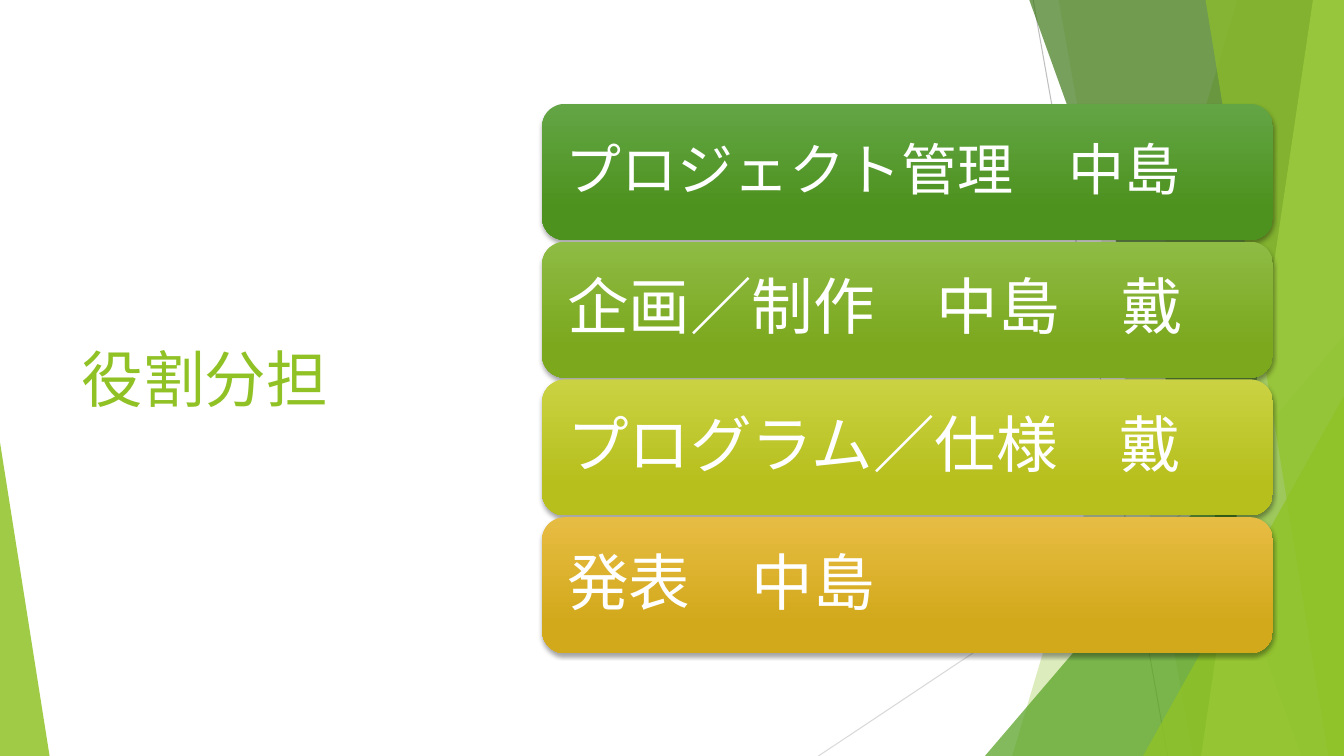
from dataclasses import dataclass
from lxml.etree import SubElement
from pptx import Presentation
from pptx.dml.color import RGBColor
from pptx.enum.shapes import MSO_CONNECTOR, MSO_SHAPE
from pptx.enum.text import MSO_ANCHOR, PP_ALIGN
from pptx.oxml.ns import qn
from pptx.util import Pt


@dataclass(frozen=True)
class Theme:
    """Colours and type sizes of the slide."""
    font: str = "Open Sans"
    big: int = 44
    small: int = 40
    white: str = "FFFFFF"
    black: str = "000000"
    lime: str = "90C226"
    green: str = "54A021"
    dark: str = "3F7819"
    pale: str = "C0E474"
    grey: str = "BFBFBF"
    mist: str = "D9D9D9"


THEME = Theme()
WIDE, HIGH = 960, 540
BAR_LEFT, BAR_TOP, BAR_WIDE, BAR_HIGH, BAR_STEP = 387.2, 74.2, 522, 97.2, 98.4


def put(item, **values):
    """Set each named attribute of an item."""
    for name, value in values.items():
        setattr(item, name, value)


def rgb(code):
    """Turn a hex code into a colour."""
    return RGBColor.from_string(code)


def write(shape, text, size, color, inset, **para):
    """Write one line of text, centred in height and left aligned."""
    frame = shape.text_frame
    put(frame, text=text, word_wrap=True, vertical_anchor=MSO_ANCHOR.MIDDLE)
    sides = ("left", "right", "top", "bottom")
    put(frame, **{f"margin_{side}": Pt(gap) for side, gap in zip(sides, inset)})
    line = frame.paragraphs[0]
    put(line, alignment=PP_ALIGN.LEFT, **para)
    put(line.runs[0].font, name=THEME.font, size=Pt(size))
    line.runs[0].font.color.rgb = rgb(color)


def tint(shape, color, alpha):
    """Give a shape a see-through fill, no line and no shadow."""
    shape.fill.solid()
    shape.fill.fore_color.rgb = rgb(color)
    code = next(shape._element.spPr.iter(qn("a:srgbClr")))
    SubElement(code, qn("a:alpha"), val=str(alpha * 1000))
    shape.line.fill.background()
    shape.shadow.inherit = False


def add_line(slide, start, end, color):
    """Draw a thin line."""
    line = slide.shapes.add_connector(
        MSO_CONNECTOR.STRAIGHT, *map(Pt, start + end))
    line.line.color.rgb = rgb(color)
    line.line.width = Pt(0.75)
    SubElement(line._element.spPr, qn("a:effectLst"))


def add_band(slide, top, base, color, alpha):
    """Draw a band from a slanted left edge to the right slide edge."""
    pen = slide.shapes.build_freeform(Pt(top), Pt(-0.7))
    ends = [(WIDE, -0.7), (WIDE, HIGH), (base, HIGH)]
    pen.add_line_segments([(Pt(x), Pt(y)) for x, y in ends], close=True)
    tint(pen.convert_to_shape(), color, alpha)


def add_peak(slide, left, top, wide, tip, color, alpha):
    """Draw a triangle that stands on the bottom slide edge."""
    peak = slide.shapes.add_shape(
        MSO_SHAPE.ISOSCELES_TRIANGLE, *map(Pt, (left, top, wide, HIGH - top)))
    peak.adjustments[0] = tip
    tint(peak, color, alpha)


def add_decor(slide):
    """Draw the green facets, from back to front."""
    add_line(slide, (738, 0), (834, HIGH), THEME.grey)
    add_line(slide, (WIDE, 290), (584.6, HIGH), THEME.mist)
    add_band(slide, 884, 723, THEME.lime, 30)
    add_band(slide, 756, 852, THEME.lime, 20)
    add_peak(slide, 703.5, 240, 256.5, 1, THEME.green, 72)
    add_band(slide, 735, 929.5, THEME.dark, 70)
    add_band(slide, 938, 858, THEME.pale, 70)
    add_band(slide, 861, 949, THEME.lime, 65)
    add_peak(slide, 816.5, 283, 143.5, 1, THEME.lime, 80)
    add_peak(slide, 0, 316, 35.4, 0, THEME.lime, 85)


def add_title(slide, text):
    """Place and format the title."""
    title = slide.shapes.title
    put(title, left=Pt(51), top=Pt(108.7), width=Pt(279.4), height=Pt(322.6))
    write(title, text, THEME.big, THEME.lime, (7.2, 7.2, 3.6, 3.6))


def add_shade(shape):
    """Add a soft shadow below a shape."""
    shape.shadow.inherit = False
    effects = shape._element.spPr.find(qn("a:effectLst"))
    shade = SubElement(effects, qn("a:outerShdw"), blurRad=str(Pt(3)),
                       dist=str(Pt(2)), dir="5400000", rotWithShape="0")
    code = SubElement(shade, qn("a:srgbClr"), val=THEME.black)
    SubElement(code, qn("a:alpha"), val="35000")


def add_bar(slide, row, text, size, colors):
    """Draw one role bar with its text."""
    box = (BAR_LEFT, BAR_TOP + row * BAR_STEP, BAR_WIDE, BAR_HIGH)
    bar = slide.shapes.add_shape(MSO_SHAPE.ROUNDED_RECTANGLE, *map(Pt, box))
    bar.fill.gradient()
    bar.fill.gradient_angle = 270
    for stop, place, color in zip(bar.fill.gradient_stops, (0, 0.78), colors):
        stop.position = place
        stop.color.rgb = rgb(color)
    bar.line.fill.background()
    add_shade(bar)
    write(bar, text, size, THEME.white, [size * 0.3] * 4, line_spacing=0.9)


def main():
    """Build the slide and save it."""
    deck = Presentation()
    put(deck, slide_width=Pt(WIDE), slide_height=Pt(HIGH))
    slide = deck.slides.add_slide(deck.slide_layouts[5])
    add_decor(slide)
    add_title(slide, "役割分担")
    roles = [
        ("プロジェクト管理　中島", THEME.small, ("63A545", "4D921E")),
        ("企画／制作　中島　戴", THEME.big, ("8EBB44", "7BA81D")),
        ("プログラム／仕様　戴", THEME.big, ("CAD243", "B6BF1B")),
        ("発表　中島", THEME.big, ("E7BC43", "D2A91B")),
    ]
    for row, role in enumerate(roles):
        add_bar(slide, row, *role)
    deck.save("out.pptx")


main()
